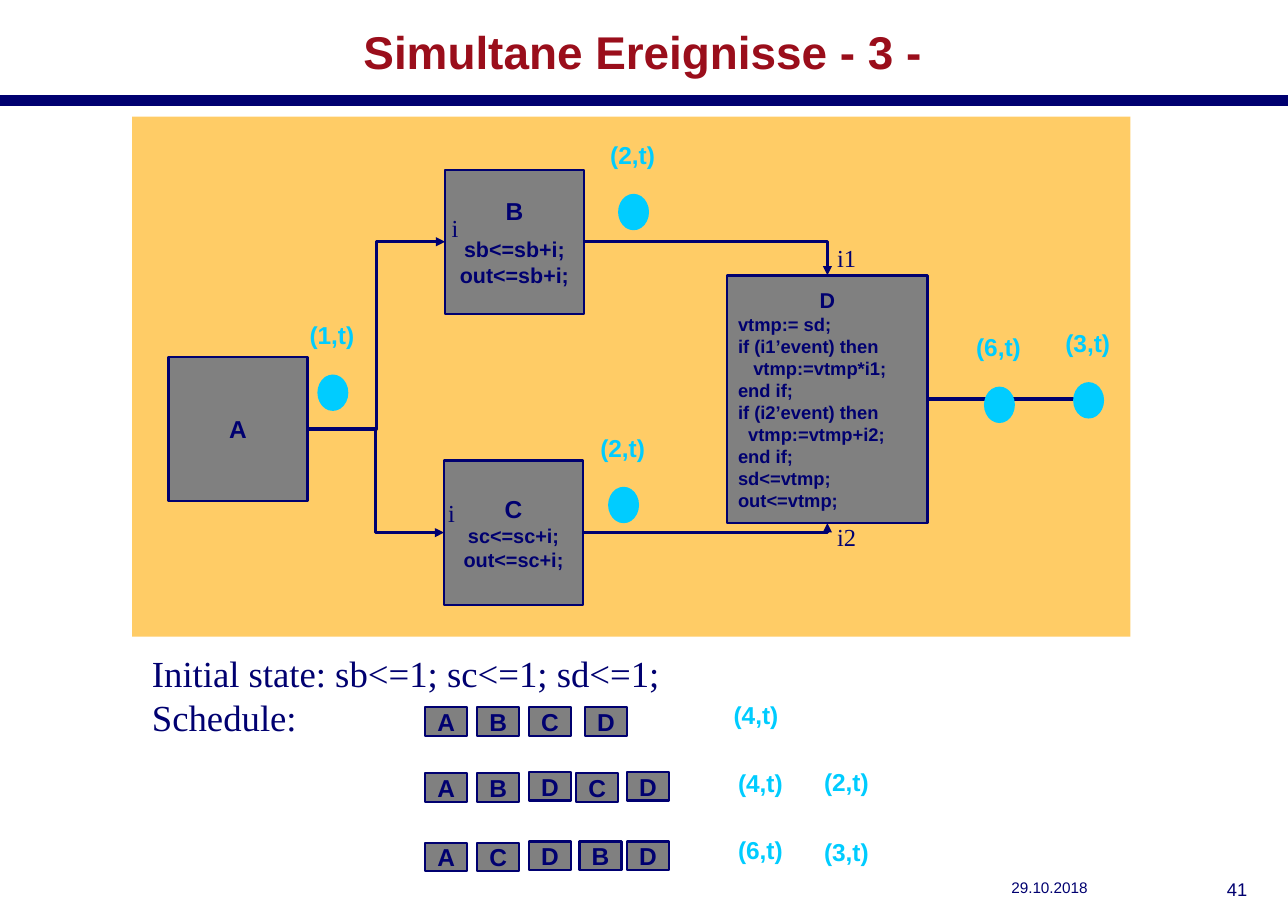
from pptx import Presentation
from pptx.dml.color import RGBColor
from pptx.enum.shapes import MSO_CONNECTOR, MSO_SHAPE
from pptx.enum.text import MSO_ANCHOR, PP_ALIGN
from pptx.oxml.ns import qn
from pptx.util import Pt
from lxml import etree

RECT, OVAL = MSO_SHAPE.RECTANGLE, MSO_SHAPE.OVAL
STRAIGHT, ELBOW = MSO_CONNECTOR.STRAIGHT, MSO_CONNECTOR.ELBOW
LEFT, CENTER, RIGHT = PP_ALIGN.LEFT, PP_ALIGN.CENTER, PP_ALIGN.RIGHT
TOP, MIDDLE = MSO_ANCHOR.TOP, MSO_ANCHOR.MIDDLE
NAVY, RED, CYAN, GRAY, SAND = "000070", "9A0E1B", "00CCFF", "808080", "FFCC66"
SANS, SERIF = "Arial", "Times New Roman"
SITE_TOP, SITE_LEFT, SITE_BOTTOM, SITE_RIGHT = range(4)

# Content: a text line is (text, size, alignment, space before)
WIDTH, HEIGHT = 841.68, 595.44
CODE_D = ["vtmp:= sd;", "if (i1’event) then", "   vtmp:=vtmp*i1;", "end if;",
          "if (i2’event) then", "  vtmp:=vtmp+i2;", "end if;", "sd<=vtmp;",
          "out<=vtmp;"]
NODES = {  # name: (box, lines)
    "A": ((110.2, 233.3, 90.7, 94.3), [("A", 16, CENTER, 0)]),
    "B": ((290.9, 110.9, 90.7, 94.3), [("B", 16, CENTER, 0),
                                       ("sb<=sb+i;", 14, CENTER, 7),
                                       ("out<=sb+i;", 14, CENTER, 0)]),
    "C": ((290.2, 301, 90.7, 94.3), [("C", 16, CENTER, 0),
                                     ("sc<=sc+i;", 13, CENTER, 0),
                                     ("out<=sc+i;", 13, CENTER, 0)]),
    "D": ((475.2, 180, 131, 162), [("D", 14, CENTER, 0)]
          + [(code, 12, LEFT, 0) for code in CODE_D]),
}
WIRES = [  # from, to, entry side, preset
    ("A", "B", SITE_LEFT, "bentConnector3"),
    ("A", "C", SITE_LEFT, "bentConnector3"),
    ("B", "D", SITE_TOP, "bentConnector2"),
    ("C", "D", SITE_BOTTOM, "bentConnector2"),
]
OUTPUT_END = 711.4
EVENTS = [("(1,t)", 207.4, 244.8), ("(2,t)", 403.9, 126.7),
          ("(2,t)", 397.4, 318.2), ("(3,t)", 701.3, 249.8),
          ("(6,t)", 643, 252.7)]
PORTS = [("i", 288, 135.4, 19.4), ("i", 285.8, 321.8, 19.4),
         ("i1", 540, 155.5, 27.4), ("i2", 540, 337.7, 27.4)]
STATE = ["Initial state: sb<=1; sc<=1; sd<=1;", "Schedule:"]
SCHEDULES = [  # row top, (block, left, vertical shift)
    (462.2, [("A", 277.9, 0), ("B", 311.8, 0), ("C", 345.6, 0), ("D", 382.3, 0)]),
    (505.4, [("A", 277.9, 0), ("B", 311.8, 0), ("D", 345.6, -0.8),
             ("C", 376.6, 0), ("D", 409.7, -0.8)]),
    (550.8, [("A", 277.9, 0), ("C", 311.8, 0), ("D", 345.6, -0.8),
             ("B", 378.7, -0.8), ("D", 409.7, -0.8)]),
]
RESULTS = [("(4,t)", 472.3, 454.3), ("(4,t)", 475.2, 498.2),
           ("(2,t)", 531.4, 497.5), ("(6,t)", 475.2, 542.2),
           ("(3,t)", 531.4, 543.6)]

prs = Presentation()
prs.slide_width, prs.slide_height = Pt(WIDTH), Pt(HEIGHT)
slide = prs.slides.add_slide(prs.slide_layouts[6])
shapes = slide.shapes


def rgb(value):
    return RGBColor.from_string(value)


def write(sp, lines, color, font=SANS, bold=False, anchor=TOP, wrap=True, side=7.2):
    tf = sp.text_frame
    tf.word_wrap, tf.vertical_anchor = wrap, anchor
    tf.margin_left = tf.margin_right = Pt(side)
    tf.margin_top = tf.margin_bottom = Pt(3.6 if side else 0)
    for i, (text, size, align, before) in enumerate(lines):
        p = tf.paragraphs[0] if i == 0 else tf.add_paragraph()
        p.alignment = align
        if before:
            p.space_before = Pt(before)
        r = p.add_run()
        r.text = text
        r.font.name, r.font.size, r.font.bold = font, Pt(size), bold
        r.font.color.rgb = rgb(color)


def add_text(box, lines, color, **style):
    write(shapes.add_textbox(*map(Pt, box)), lines, color, **style)


def add_block(kind, box, fill, line=None):
    sp = shapes.add_shape(kind, *map(Pt, box))
    sp.shadow.inherit = False
    sp.fill.solid()
    sp.fill.fore_color.rgb = rgb(fill)
    if line:
        sp.line.color.rgb, sp.line.width = rgb(line), Pt(1.5)
    else:
        sp.line.fill.background()
    return sp


def add_line(kind, ends, width, arrow=False):
    cxn = shapes.add_connector(kind, *map(Pt, ends))
    cxn.line.color.rgb, cxn.line.width = rgb(NAVY), Pt(width)
    if arrow:
        etree.SubElement(cxn.line._get_or_add_ln(), qn("a:tailEnd"), type="triangle")
    etree.SubElement(cxn._element.spPr, qn("a:effectLst"))
    return cxn


def add_event_label(text, x, y):
    add_text((x, y, 44.6, 26.6), [(text, 16, LEFT, 0)], CYAN, bold=True, wrap=False)


# Header and footer
add_line(STRAIGHT, (0, 65.5, WIDTH, 65.5), 7.09)
add_text((18, 8.6, 804.2, 49), [("Simultane Ereignisse - 3 -", 30, CENTER, 0)],
         RED, bold=True, anchor=MIDDLE)
add_text((653, 570.2, 118.8, 25.2), [("29.10.2018", 10, LEFT, 0)], NAVY, side=7.9)
add_text((783.4, 570.2, 39.6, 25.2), [("41", 12, RIGHT, 0)], NAVY, side=7.9)

# Block diagram
add_block(RECT, (86.4, 76.3, 652.3, 339.8), SAND)
nodes = {}
for name, (box, lines) in NODES.items():
    nodes[name] = add_block(RECT, box, GRAY, NAVY)
    write(nodes[name], lines, NAVY, bold=True, anchor=MIDDLE)

# Wires
for source, target, side, preset in WIRES:
    cxn = add_line(ELBOW, (0, 0, 0, 0), 2, arrow=True)
    cxn.begin_connect(nodes[source], SITE_RIGHT)
    cxn.end_connect(nodes[target], side)
    cxn._element.spPr.find(qn("a:prstGeom")).set("prst", preset)
left, top, width, height = NODES["D"][0]
output_y = top + height / 2 - 0.2
add_line(STRAIGHT, (left + width, output_y, OUTPUT_END, output_y), 2, arrow=True)

# Events on the wires and port names
for text, x, y in EVENTS:
    add_block(OVAL, (x, y, 20.2, 23.8), CYAN)
    add_event_label(text, x - 12.2, y - 38.9)
for text, x, y, width in PORTS:
    add_text((x, y, width, 26.6), [(text, 16, LEFT, 0)], NAVY, font=SERIF, wrap=False)

# Initial state and schedules
add_text((92.2, 421.9, 349.2, 65.5), [(text, 24, LEFT, 0) for text in STATE],
         NAVY, font=SERIF, wrap=False)
for top, row in SCHEDULES:
    for name, x, shift in row:
        sp = add_block(RECT, (x, top + shift, 27.4, 18.7), GRAY, NAVY)
        write(sp, [(name, 16, CENTER, 0)], NAVY, bold=True, anchor=MIDDLE, side=0)
for text, x, y in RESULTS:
    add_event_label(text, x, y)

prs.save("out.pptx")
